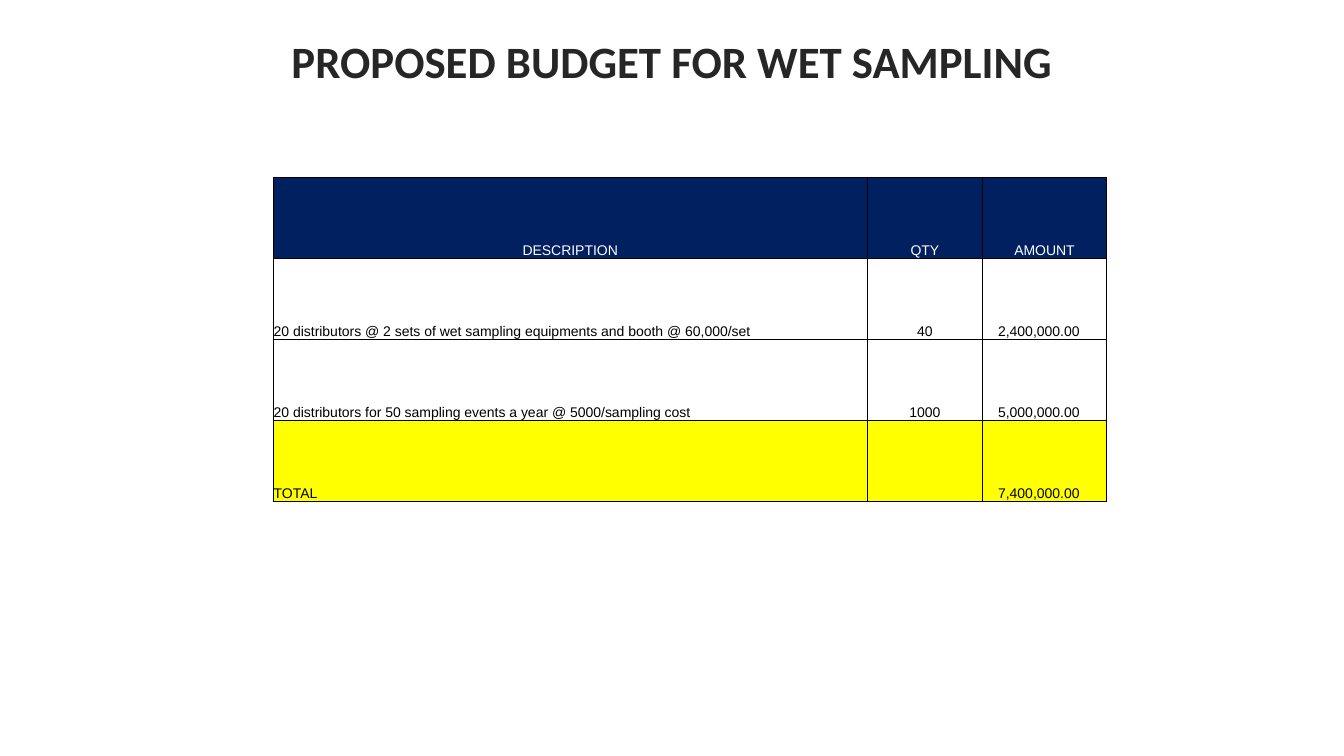
from lxml import etree
from pptx import Presentation, util as u
from pptx.dml.color import RGBColor
from pptx.enum import text
from pptx.oxml import ns

NAVY, YELLOW, WHITE, BLACK, CHARCOAL = "002060", "FFFF00", "FFFFFF", "000000", "262626"
LEFT, CENTER = text.PP_ALIGN.LEFT, text.PP_ALIGN.CENTER
AMOUNT_INDENT = 11.2


def color(value):
    return RGBColor.from_string(value)


def make_line(tag, points, value):
    line = etree.Element(ns.qn(f"a:{tag}"), w=str(u.Pt(points)))
    fill = etree.SubElement(line, ns.qn("a:solidFill"))
    etree.SubElement(fill, ns.qn("a:srgbClr"), val=value)
    return line


class BudgetSlide:
    title_font = "Calibri"
    table_font = "Arial"

    def __init__(self, presentation):
        self.slide = presentation.slides.add_slide(presentation.slide_layouts[5])

    def style(self, paragraph, name, size, value, align, bold=False):
        paragraph.alignment = align
        font = paragraph.font
        font.name, font.size, font.bold = name, u.Pt(size), bold
        font.color.rgb = color(value)

    def title(self, wording, left, top, width, height):
        shape = self.slide.shapes.title
        shape.left, shape.top, shape.width, shape.height = map(
            u.Pt, (left, top, width, height))
        frame = shape.text_frame
        frame.text = wording
        frame.word_wrap = False
        frame.auto_size = text.MSO_AUTO_SIZE.SHAPE_TO_FIT_TEXT
        frame.vertical_anchor = text.MSO_ANCHOR.TOP
        paragraph = frame.paragraphs[0]
        self.style(paragraph, self.title_font, 32, CHARCOAL, CENTER, True)
        paragraph.runs[0]._r.get_or_add_rPr().insert(0, make_line("ln", 1.06, WHITE))

    def cell(self, cell, wording, fill, value, align, indent):
        cell.text = wording
        cell.vertical_anchor = text.MSO_ANCHOR.BOTTOM
        cell.margin_left = u.Pt(indent)
        cell.margin_right = cell.margin_top = u.Pt(0.5)
        cell.margin_bottom = 0
        self.style(cell.text_frame.paragraphs[0], self.table_font, 10, value, align)
        properties = cell._tc.get_or_add_tcPr()
        for side in ("lnL", "lnR", "lnT", "lnB"):
            properties.append(make_line(side, 0.5, BLACK))
        if fill:
            cell.fill.solid()
            cell.fill.fore_color.rgb = color(fill)
        else:
            cell.fill.background()

    def table(self, rows, fills, left, top, widths, row_height):
        table = self.slide.shapes.add_table(
            len(rows), len(widths), u.Pt(left), u.Pt(top),
            u.Pt(sum(widths)), u.Pt(row_height * len(rows))).table
        table.horz_banding = False
        for column, width in zip(table.columns, widths):
            column.width = u.Pt(width)
        for i, (row, fill) in enumerate(zip(rows, fills)):
            table.rows[i].height = u.Pt(row_height)
            for j, wording in enumerate(row):
                header = i == 0
                self.cell(table.cell(i, j), wording, fill,
                          WHITE if header else BLACK,
                          CENTER if header or j == 1 else LEFT,
                          AMOUNT_INDENT if j == 2 and not header else 0.5)


def main():
    presentation = Presentation()
    presentation.slide_width, presentation.slide_height = u.Pt(960), u.Pt(540)
    slide = BudgetSlide(presentation)
    slide.title("PROPOSED BUDGET FOR WET SAMPLING", 195, 20.2, 570, 46)
    rows = [
        ("DESCRIPTION", "QTY", "AMOUNT"),
        ("20 distributors @ 2 sets of wet sampling equipments and booth @ 60,000/set",
         "40", "2,400,000.00"),
        ("20 distributors for 50 sampling events a year @ 5000/sampling cost",
         "1000", "5,000,000.00"),
        ("TOTAL", "", "7,400,000.00"),
    ]
    slide.table(rows, (NAVY, None, None, YELLOW), 195, 126.8, (424.6, 82.2, 88.6), 57.85)
    presentation.save("out.pptx")


if __name__ == "__main__":
    main()
